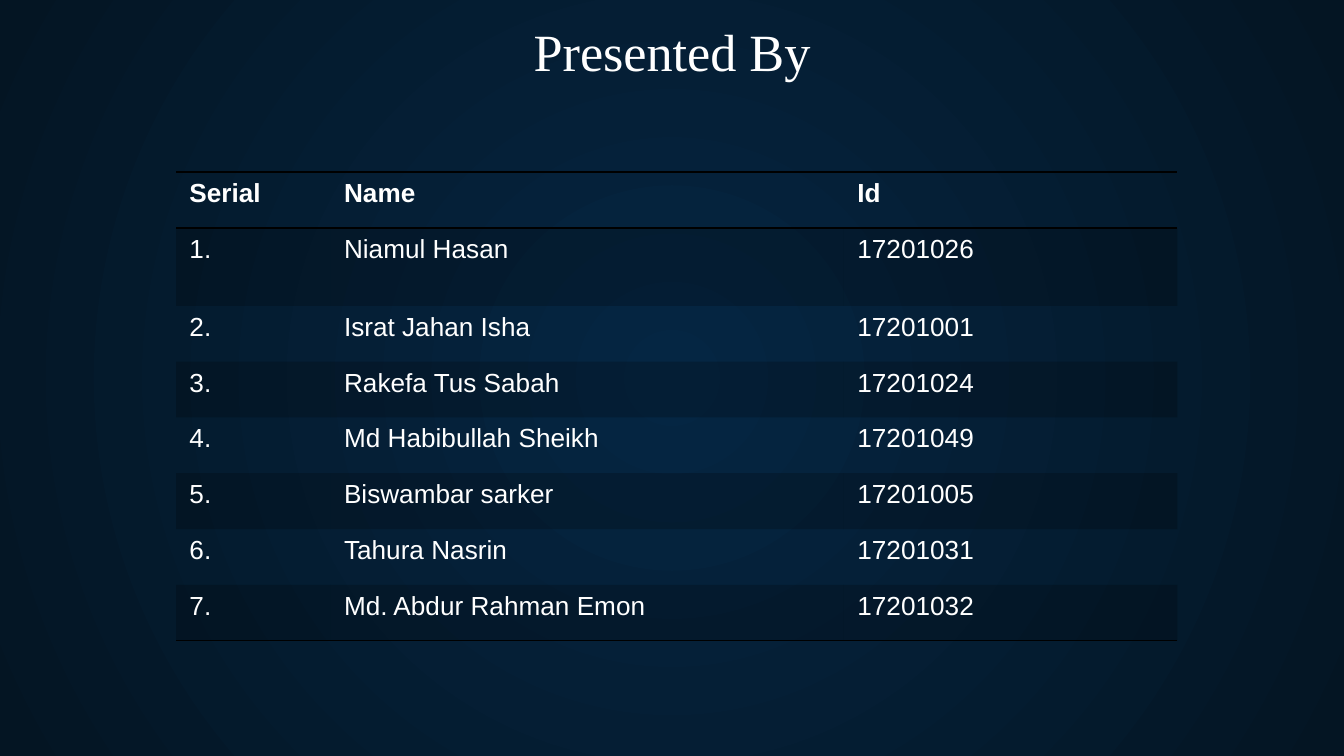
from dataclasses import dataclass

from pptx import Presentation
from pptx.dml.color import RGBColor as Rgb
from pptx.enum.text import MSO_ANCHOR as Anchor, MSO_AUTO_SIZE as Fit, PP_ALIGN as Align
from pptx.oxml import parse_xml
from pptx.oxml.ns import nsdecls, qn
from pptx.util import Inches, Pt


@dataclass(frozen=True)
class Theme:
    """Colours, fonts and sizes of the slide."""
    white: str = "FFFFFF"
    black: str = "000000"
    glow: str = "052643"
    edge: str = "041523"
    serif: str = "Times New Roman"
    sans: str = "Arial"
    head: int = 28
    body: int = 14
    rule: int = 1
    alpha: int = 20


THEME = Theme()
PLAIN = "{2D5ABB26-0587-4C30-8999-92F81FD0307C}"
COLS = (1.15, 3.82, 2.48)
HIGH, TALL = 3.49, 0.58
HEADS = ("Serial", "Name", "Id")
TEAM = (
    ("Niamul Hasan", "17201026"),
    ("Israt Jahan Isha", "17201001"),
    ("Rakefa Tus Sabah", "17201024"),
    ("Md Habibullah Sheikh", "17201049"),
    ("Biswambar sarker", "17201005"),
    ("Tahura Nasrin", "17201031"),
    ("Md. Abdur Rahman Emon", "17201032"),
)


def style(font, face, size, bold=False):
    """Give a font its face, size, weight and white colour."""
    for key, val in {"name": face, "size": Pt(size), "bold": bold}.items():
        setattr(font, key, val)
    font.color.rgb = Rgb.from_string(THEME.white)


def paint(slide):
    """Fill the background with a round gradient glowing from the centre."""
    stops = "".join(
        f'<a:gs pos="{pos}"><a:srgbClr val="{tone}"/></a:gs>'
        for pos, tone in ((0, THEME.glow), (100000, THEME.edge))
    )
    back = parse_xml(
        f'<p:bg {nsdecls("p", "a")}><p:bgPr><a:gradFill rotWithShape="1">'
        f"<a:gsLst>{stops}</a:gsLst>"
        '<a:path path="circle"><a:fillToRect l="50000" t="50000" r="50000" b="50000"/></a:path>'
        "</a:gradFill><a:effectLst/></p:bgPr></p:bg>"
    )
    slide.element.find(qn("p:cSld")).insert(0, back)


def add_title(slide, text):
    """Place the slide title."""
    title = slide.shapes.title
    spot = {"left": 3.87, "top": 0.09, "width": 5, "height": 0.57}
    for key, val in spot.items():
        setattr(title, key, Inches(val))
    frame = title.text_frame
    frame.text = text
    look = {"word_wrap": True, "auto_size": Fit.SHAPE_TO_FIT_TEXT, "vertical_anchor": Anchor.TOP}
    for key, val in look.items():
        setattr(frame, key, val)
    para = frame.paragraphs[0]
    para.alignment = Align.LEFT
    style(para.runs[0].font, THEME.serif, THEME.head)


def shade(cell, dark):
    """Tint a cell with translucent black, or leave it clear."""
    if not dark:
        cell.fill.background()
        return
    cell.fill.solid()
    cell.fill.fore_color.rgb = Rgb.from_string(THEME.black)
    tone = next(cell._tc.tcPr.iter(qn("a:srgbClr")))
    tone.append(parse_xml(f'<a:alpha {nsdecls("a")} val="{THEME.alpha * 1000}"/>'))


def rule(cell, sides):
    """Draw black lines on the named sides of a cell."""
    for spot, side in enumerate(sides):
        line = parse_xml(
            f'<a:ln{side} {nsdecls("a")} w="{Pt(THEME.rule)}"><a:solidFill>'
            f'<a:srgbClr val="{THEME.black}"/></a:solidFill></a:ln{side}>'
        )
        cell._tc.get_or_add_tcPr().insert(spot, line)


def add_grid(slide, data):
    """Add the table with a ruled header and shaded odd rows."""
    box = [Inches(val) for val in (1.31, 1.28, sum(COLS), HIGH)]
    table = slide.shapes.add_table(len(data), len(COLS), *box).table
    table.horz_banding = False
    next(table._tbl.iter(qn("a:tableStyleId"))).text = PLAIN
    for col, width in zip(table.columns, COLS):
        col.width = Inches(width)
    step = (HIGH - TALL) / (len(data) - 1)
    sides = {0: "TB", len(data) - 1: "B"}
    for num, (row, texts) in enumerate(zip(table.rows, data)):
        row.height = Inches(TALL if num == 1 else step)
        for cell, text in zip(row.cells, texts):
            cell.text = text
            style(cell.text_frame.paragraphs[0].runs[0].font, THEME.sans, THEME.body, num == 0)
            shade(cell, num % 2 == 1)
            rule(cell, sides.get(num, ""))


def main():
    """Build and save the slide."""
    deck = Presentation()
    deck.slide_width = Inches(10)
    deck.slide_height = deck.slide_width * 9 // 16
    slide = deck.slides.add_slide(deck.slide_layouts[5])
    paint(slide)
    add_title(slide, "Presented By")
    add_grid(slide, [HEADS] + [(f"{num}.", *who) for num, who in enumerate(TEAM, 1)])
    deck.save("out.pptx")


if __name__ == "__main__":
    main()
